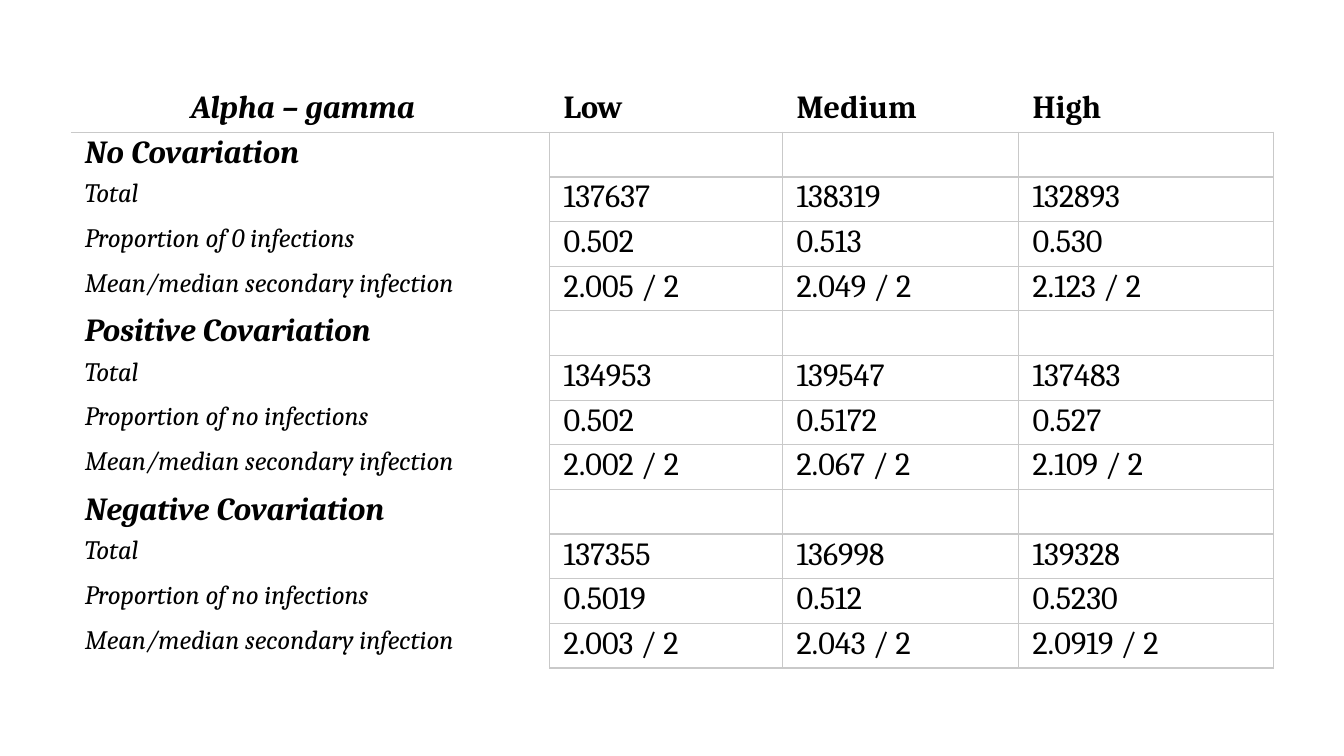
from dataclasses import dataclass

from pptx import Presentation
from pptx.dml.color import RGBColor
from pptx.enum.text import MSO_ANCHOR, PP_ALIGN as Align
from pptx.oxml.ns import qn
from pptx.util import Pt
from lxml.etree import SubElement

FONT = "Cambria"
INK, GRID = "000000", "C9C9C9"
COL_WIDTHS = [342, 166.4, 168.6, 182]
ROW_HEIGHT = 31.9
HEADER = ["Alpha – gamma  ", "Low", "Medium", "High"]


@dataclass
class Group:
    title: str
    zero_label: str
    totals: list[str]
    proportions: list[str]
    means: list[str]

    def rows(self) -> list[list[str]]:
        return [
            [self.title, "", "", ""],
            ["Total", *self.totals],
            [f"Proportion of {self.zero_label} infections", *self.proportions],
            ["Mean/median secondary infection", *self.means],
        ]


GROUPS = [
    Group("No Covariation", "0", ["137637", "138319", "132893"],
          ["0.502", "0.513", "0.530"],
          ["2.005 / 2", "2.049 / 2", "2.123 / 2"]),
    Group("Positive Covariation", "no", ["134953", "139547", "137483"],
          ["0.502", "0.5172", "0.527"],
          ["2.002 / 2", "2.067 / 2", "2.109 / 2"]),
    Group("Negative Covariation", "no", ["137355", "136998", "139328"],
          ["0.5019", "0.512", "0.5230"],
          ["2.003 / 2", "2.043 / 2", "2.0919 / 2"]),
]


def color(value: str) -> RGBColor:
    return RGBColor.from_string(value)


def write(cell, text: str, *, size: float = 23, bold: bool = False,
          italic: bool = False, align: Align = Align.LEFT) -> None:
    cell.margin_left = cell.margin_right = Pt(10)
    cell.margin_top, cell.margin_bottom = Pt(1.4), Pt(0)
    cell.vertical_anchor = MSO_ANCHOR.TOP
    if not text:
        return
    p = cell.text_frame.paragraphs[0]
    p.alignment = align
    r = p.add_run()
    r.text = text
    r.font.name, r.font.size = FONT, Pt(size)
    r.font.bold, r.font.italic = bold, italic
    r.font.color.rgb = color(INK)


def set_borders(cell, visible: str) -> None:
    """Draw the sides named in visible (L, R, T, B) and clear the others."""
    tc_pr = cell._tc.get_or_add_tcPr()
    for side in "LRTB":
        ln = SubElement(tc_pr, qn(f"a:ln{side}"), w=str(Pt(1)))
        if side in visible:
            fill = SubElement(ln, qn("a:solidFill"))
            SubElement(fill, qn("a:srgbClr"), val=GRID)
        else:
            SubElement(ln, qn("a:noFill"))
    cell.fill.background()


def add_results(slide) -> None:
    rows = [HEADER] + [row for group in GROUPS for row in group.rows()]
    frame = slide.shapes.add_table(
        len(rows), len(COL_WIDTHS), Pt(50.6), Pt(62.6),
        Pt(sum(COL_WIDTHS)), Pt(ROW_HEIGHT * len(rows)))
    table = frame.table
    table.first_row = table.horz_banding = False
    for column, width in zip(table.columns, COL_WIDTHS):
        column.width = Pt(width)

    titles = {group.title for group in GROUPS}
    for i, row in enumerate(rows):
        table.rows[i].height = Pt(ROW_HEIGHT)
        for j, text in enumerate(row):
            cell = table.cell(i, j)
            heading = i == 0 or text in titles
            write(cell, text, bold=heading, italic=j == 0,
                  size=23 if heading or j else 19,
                  align=Align.CENTER if i == j == 0 else Align.LEFT)
            # Open header row and label column, closed grid of values
            if i == 0:
                sides = "B"
            elif j == 0:
                sides = "RT" if i == 1 else "R"
            else:
                sides = "LRTB"
            set_borders(cell, sides)


def main() -> None:
    prs = Presentation()
    prs.slide_width, prs.slide_height = Pt(960), Pt(540)
    slide = prs.slides.add_slide(prs.slide_layouts[6])
    add_results(slide)
    prs.save("out.pptx")


if __name__ == "__main__":
    main()
